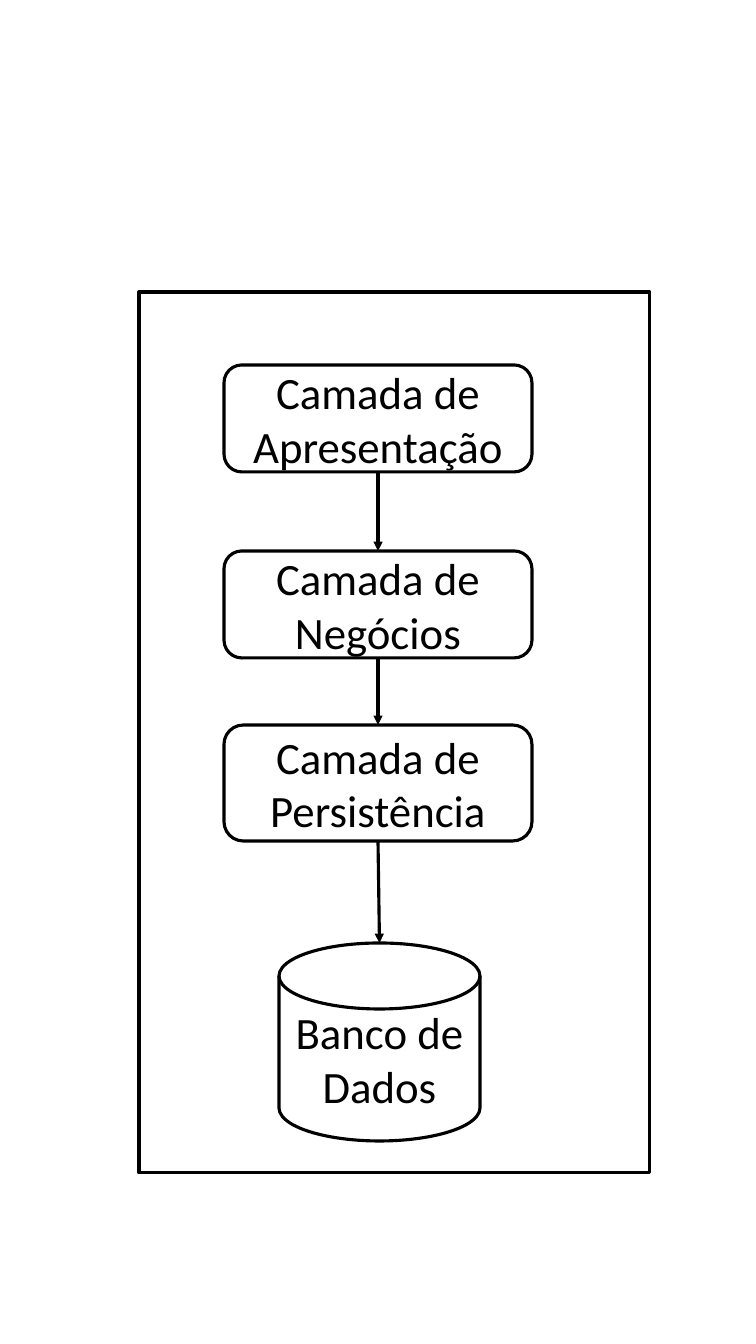
from itertools import pairwise
from lxml import etree
from pptx import Presentation
from pptx.dml.color import RGBColor
from pptx.enum.shapes import MSO_CONNECTOR, MSO_SHAPE
from pptx.enum.text import MSO_ANCHOR, PP_ALIGN
from pptx.oxml.ns import qn
from pptx.util import Pt

RECT = MSO_SHAPE.RECTANGLE
ROUND = MSO_SHAPE.ROUNDED_RECTANGLE
DISK = MSO_SHAPE.FLOWCHART_MAGNETIC_DISK
STRAIGHT = MSO_CONNECTOR.STRAIGHT
MIDDLE = MSO_ANCHOR.MIDDLE
CENTER = PP_ALIGN.CENTER
BLACK = RGBColor(0, 0, 0)
WHITE = RGBColor(255, 255, 255)
LINE_WIDTH = Pt(2.25)
SCALE = 914400 / 100.8

FRAME = (139, 292, 511, 881)
LAYER_LEFT, LAYER_WIDTH = 224, 308
LAYERS = [
    ("Camada de Apresentação", 365, 107),
    ("Camada de Negócios", 551, 107),
    ("Camada de Persistência", 725, 116),
]
DATABASE = ("Banco de Dados", DISK, (279, 943, 201, 198))


def px(n):
    return round(n * SCALE)


def add_box(s, kind, box, text=""):
    sp = s.shapes.add_shape(kind, *map(px, box))
    sp.shadow.inherit = False
    sp.fill.solid()
    sp.fill.fore_color.rgb = WHITE
    sp.line.color.rgb = BLACK
    sp.line.width = LINE_WIDTH
    if text:
        tf = sp.text_frame
        tf.text = text
        tf.word_wrap = True
        tf.vertical_anchor = MIDDLE
        p = tf.paragraphs[0]
        p.alignment = CENTER
        font = p.runs[0].font
        font.name = "Calibri"
        font.size = Pt(32)
        font.color.rgb = BLACK
    return sp


def add_arrow(s, upper, lower):
    cx = s.shapes.add_connector(
        STRAIGHT,
        upper.left + upper.width // 2, upper.top + upper.height,
        lower.left + lower.width // 2, lower.top,
    )
    cx.line.color.rgb = BLACK
    cx.line.width = LINE_WIDTH
    ln = cx.line._get_or_add_ln()
    etree.SubElement(ln, qn("a:tailEnd"), type="triangle")
    etree.SubElement(cx._element.spPr, qn("a:effectLst"))


prs = Presentation()
prs.slide_width = px(756)
prs.slide_height = px(1344)
s = prs.slides.add_slide(prs.slide_layouts[6])

add_box(s, RECT, FRAME)
steps = [(text, ROUND, (LAYER_LEFT, top, LAYER_WIDTH, height))
         for text, top, height in LAYERS] + [DATABASE]
boxes = [add_box(s, kind, box, text) for text, kind, box in steps]
for upper, lower in pairwise(boxes):
    add_arrow(s, upper, lower)

prs.save("out.pptx")
